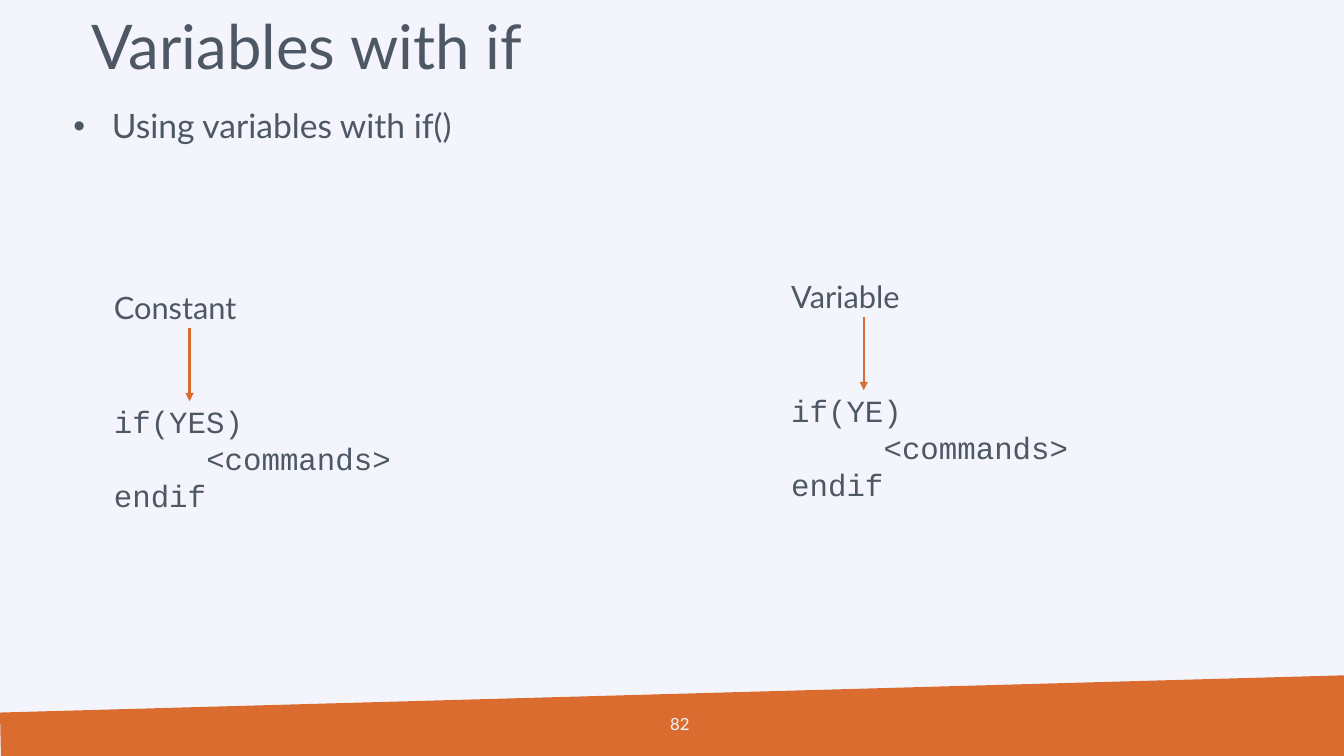
from lxml.etree import SubElement
from pptx import Presentation
from pptx.dml.color import RGBColor
from pptx.enum.shapes import MSO_CONNECTOR
from pptx.enum.text import MSO_ANCHOR, PP_ALIGN
from pptx.oxml.ns import qn
from pptx.util import Pt

TITLE = "Variables with if"
BULLET = "Using variables with if()"
PAGE_NUMBER = "82"
EXAMPLES = [
    {"label": "Constant", "condition": "if(YES)", "left": 42.5, "top": 203, "arrow_left": 135.4},
    {"label": "Variable", "condition": "if(YE)", "left": 526.3, "top": 195.1, "arrow_left": 617},
]
FOOTER_OUTLINE = [(0, 509), (960, 482.4), (960, 540), (0.7, 540)]

THEME = {
    "background": RGBColor.from_string("F4F5FC"),
    "text": RGBColor.from_string("4E5865"),
    "accent": RGBColor.from_string("DB6C30"),
    "font": "Lato",
    "code_font": "Courier New",
    "title_size": 44,
    "bullet_size": 24,
    "example_size": 22,
    "number_size": 12,
    "code_line": 26.4,
    "code_gap": 54.8,
}


def set_values(target, values):
    """Set every attribute named in values on target."""
    for name, value in values.items():
        setattr(target, name, value)


def write(paragraph, text, size, font=THEME["font"], color=THEME["text"], **layout):
    """Write one formatted run in a paragraph."""
    run = paragraph.add_run()
    run.text = text
    set_values(run.font, {"name": font, "size": Pt(size)})
    run.font.color.rgb = color
    set_values(paragraph, layout)


def indent(paragraph, left, first=0):
    """Set the left margin and first-line indent of a paragraph."""
    properties = paragraph._p.get_or_add_pPr()
    properties.set("marL", str(Pt(left)))
    properties.set("indent", str(Pt(first)))
    return properties


def add_text_frame(slide, left, top, width, height, **values):
    """Add a wrapping text box and return its frame."""
    box = slide.shapes.add_textbox(Pt(left), Pt(top), Pt(width), Pt(height))
    set_values(box.text_frame, {"word_wrap": True, **values})
    return box.text_frame


def add_title(slide):
    """Place and fill the title placeholder."""
    title = slide.shapes.title
    set_values(title, {"left": Pt(58.3), "top": Pt(0), "width": Pt(828), "height": Pt(70.6)})
    title.text_frame.vertical_anchor = MSO_ANCHOR.MIDDLE
    write(title.text_frame.paragraphs[0], TITLE, THEME["title_size"],
          alignment=PP_ALIGN.LEFT, line_spacing=0.9)


def add_bullet(slide):
    """Add the bulleted statement."""
    frame = add_text_frame(slide, 21.6, 78.5, 906.5, 420.5, margin_left=0, margin_top=0,
                           margin_right=0, margin_bottom=0)
    paragraph = frame.paragraphs[0]
    write(paragraph, BULLET, THEME["bullet_size"], line_spacing=0.9, space_before=Pt(5))
    properties = indent(paragraph, 58.3, -27.4)
    SubElement(properties, qn("a:buFont")).set("typeface", "Arial")
    SubElement(properties, qn("a:buChar")).set("char", "•")


def add_arrow(slide, left, top, length):
    """Add a downward arrow."""
    arrow = slide.shapes.add_connector(
        MSO_CONNECTOR.STRAIGHT, Pt(left), Pt(top), Pt(left), Pt(top + length))
    arrow.line.color.rgb = THEME["accent"]
    arrow.line.width = Pt(1.5)
    SubElement(arrow.line._get_or_add_ln(), qn("a:tailEnd")).set("type", "triangle")
    SubElement(arrow._element.spPr, qn("a:effectLst"))


def add_example(slide, example):
    """Add a labelled code sample with its arrow."""
    frame = add_text_frame(slide, example["left"], example["top"], 306.7, 167,
                           margin_left=Pt(38.9))
    write(frame.paragraphs[0], example["label"], THEME["example_size"])
    code = [(example["condition"], 0, THEME["code_gap"]), ("<commands>", 66, 0), ("endif", 0, 0)]
    for text, left, gap in code:
        paragraph = frame.add_paragraph()
        write(paragraph, text, THEME["example_size"], THEME["code_font"],
              line_spacing=Pt(THEME["code_line"]), space_before=Pt(gap))
        indent(paragraph, left)
    add_arrow(slide, example["arrow_left"], example["top"] + 31, 52.6)


def add_footer(slide):
    """Add the slanted band and the page number."""
    start, *corners = [(Pt(x), Pt(y)) for x, y in FOOTER_OUTLINE]
    builder = slide.shapes.build_freeform(*start)
    builder.add_line_segments(corners, close=True)
    band = builder.convert_to_shape()
    band.fill.solid()
    band.fill.fore_color.rgb = THEME["accent"]
    band.line.fill.background()
    band.shadow.inherit = False
    frame = add_text_frame(slide, 460, 502.6, 39.6, 28.8, vertical_anchor=MSO_ANCHOR.MIDDLE)
    write(frame.paragraphs[0], PAGE_NUMBER, THEME["number_size"],
          color=THEME["background"], alignment=PP_ALIGN.RIGHT)


def main():
    """Build and save the slide."""
    presentation = Presentation()
    set_values(presentation, {"slide_width": Pt(960), "slide_height": Pt(540)})
    slide = presentation.slides.add_slide(presentation.slide_layouts[5])
    slide.background.fill.solid()
    slide.background.fill.fore_color.rgb = THEME["background"]
    add_footer(slide)
    add_title(slide)
    add_bullet(slide)
    for example in EXAMPLES:
        add_example(slide, example)
    presentation.save("out.pptx")


if __name__ == "__main__":
    main()
